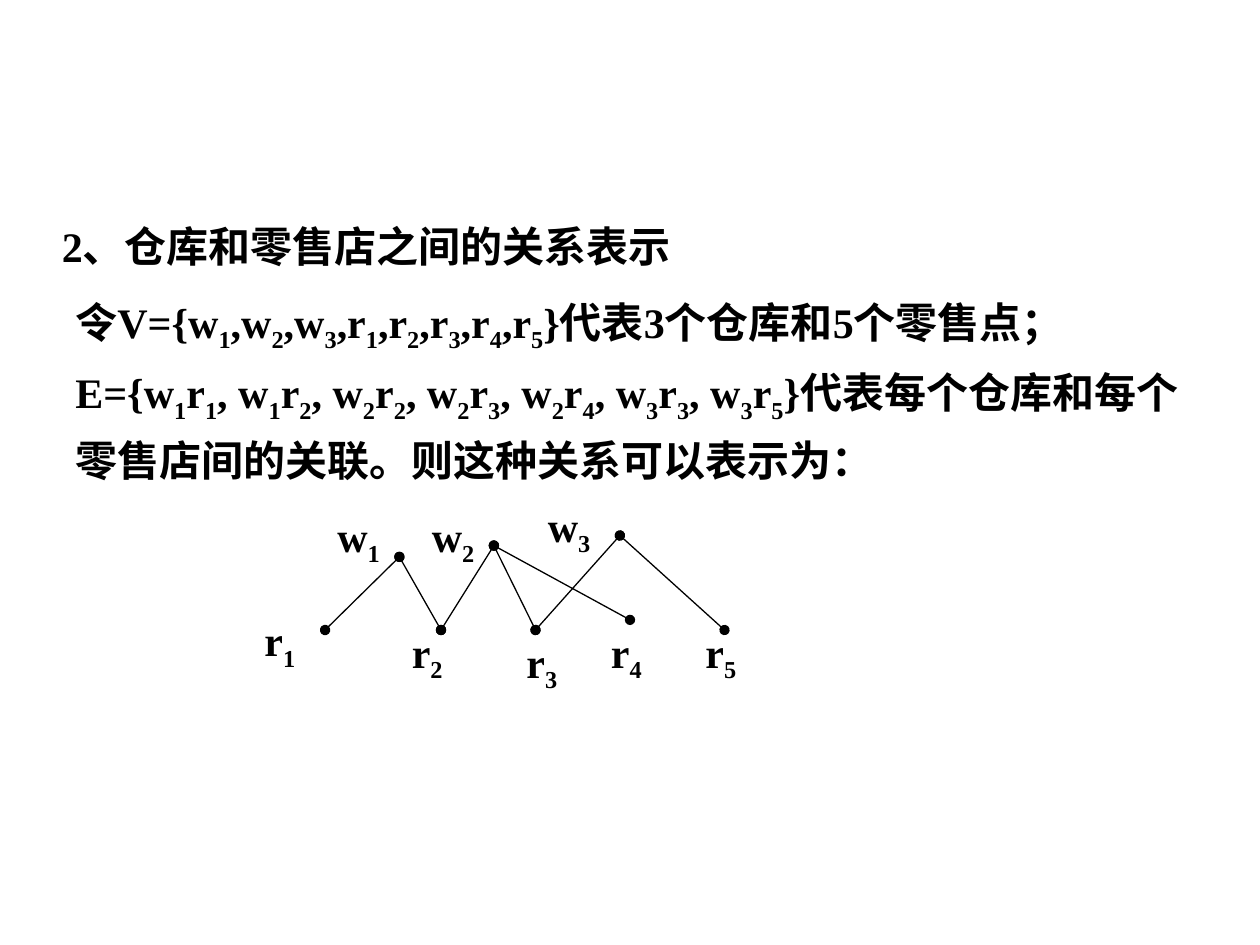
from pptx import Presentation
from pptx import util as u
from pptx.dml.color import RGBColor
from pptx.enum import shapes, text
from pptx.oxml.ns import qn
from lxml import etree

COLORS = {"ink": "000000", "page": "FFFFFF"}
FONT = "Times New Roman"
INK = RGBColor.from_string(COLORS["ink"])


def write(box, *lines, spacing=None, hang=0, size=24, bold=True):
    """Fill a box; a digit after an underscore is set as a subscript."""
    frame = box.text_frame
    frame.word_wrap = True
    frame.auto_size = text.MSO_AUTO_SIZE.SHAPE_TO_FIT_TEXT
    frame.vertical_anchor = text.MSO_ANCHOR.TOP
    for i, line in enumerate(lines):
        para = frame.add_paragraph() if i else frame.paragraphs[0]
        para.alignment = text.PP_ALIGN.LEFT
        para.space_before = u.Pt(0)
        if spacing:
            para.line_spacing = spacing
        if hang:
            props = para._p.get_or_add_pPr()
            props.set("marL", str(u.Inches(hang)))
            props.set("indent", str(-u.Inches(hang)))
        first, *rest = line.split("_")
        parts = [(first, False)]
        for part in rest:
            parts += [(part[0], True), (part[1:], False)]
        for words, sub in parts:
            if not words:
                continue
            run = para.add_run()
            run.text = words
            run.font.name = FONT
            run.font.size = u.Pt(size)
            run.font.bold = bold
            run.font.color.rgb = INK
            if sub:
                run._r.get_or_add_rPr().set("baseline", "-25000")


deck = Presentation()
deck.slide_width, deck.slide_height = u.Inches(10), u.Inches(7.5)
slide = deck.slides.add_slide(deck.slide_layouts[5])
slide.background.fill.solid()
slide.background.fill.fore_color.rgb = RGBColor.from_string(COLORS["page"])

# Heading
title = slide.shapes.title
title.left, title.top = u.Inches(0.39), u.Inches(1.62)
title.width, title.height = u.Inches(9.08), u.Inches(0.58)
write(title, "2、仓库和零售店之间的关系表示", spacing=1.2, hang=0.5)

# Definitions of the vertex and edge sets
sets = [
    (2.21, 0.65, ["令V={w_1,w_2,w_3,r_1,r_2,r_3,r_4,r_5}代表3个仓库和5个零售点；"]),
    (2.77, 1.13, ["E={w_1r_1, w_1r_2, w_2r_2, w_2r_3, w_2r_4, w_3r_3, w_3r_5}代表每个仓库和每个",
                  "零售店间的关联。则这种关系可以表示为："]),
]
for top, high, lines in sets:
    box = slide.shapes.add_textbox(u.Inches(0.5), u.Inches(top), u.Inches(9.5), u.Inches(high))
    write(box, *lines, spacing=1.2, hang=0.5)

# Graph nodes: dot position, label position
nodes = {
    "w_1": ((3.17, 4.42), (2.58, 4)),
    "w_2": ((3.92, 4.33), (3.33, 4)),
    "w_3": ((4.92, 4.25), (4.25, 3.92)),
    "r_1": ((2.58, 5), (2, 4.83)),
    "r_2": ((3.5, 5), (3.17, 4.92)),
    "r_3": ((4.25, 5), (4.08, 5)),
    "r_4": ((5, 4.92), (4.75, 4.92)),
    "r_5": ((5.75, 5), (5.5, 4.92)),
}
edges = {"w_1": "12", "w_2": "234", "w_3": "35"}

# Edges with round ends
for house, shops in edges.items():
    for shop in shops:
        ends = nodes[house][0] + nodes["r_" + shop][0]
        edge = slide.shapes.add_connector(
            shapes.MSO_CONNECTOR.STRAIGHT, *[u.Inches(v) for v in ends])
        edge.line.color.rgb = INK
        edge.line.width = u.Pt(0.75)
        line = edge.line._get_or_add_ln()
        for tag in ("a:headEnd", "a:tailEnd"):
            etree.SubElement(line, qn(tag), type="oval")
        etree.SubElement(edge._element.spPr, qn("a:effectLst"))

# Node labels
for name, (_, (left, top)) in nodes.items():
    box = slide.shapes.add_textbox(u.Inches(left), u.Inches(top), u.Inches(0.77), u.Inches(0.56))
    write(box, name)

deck.save("out.pptx")
